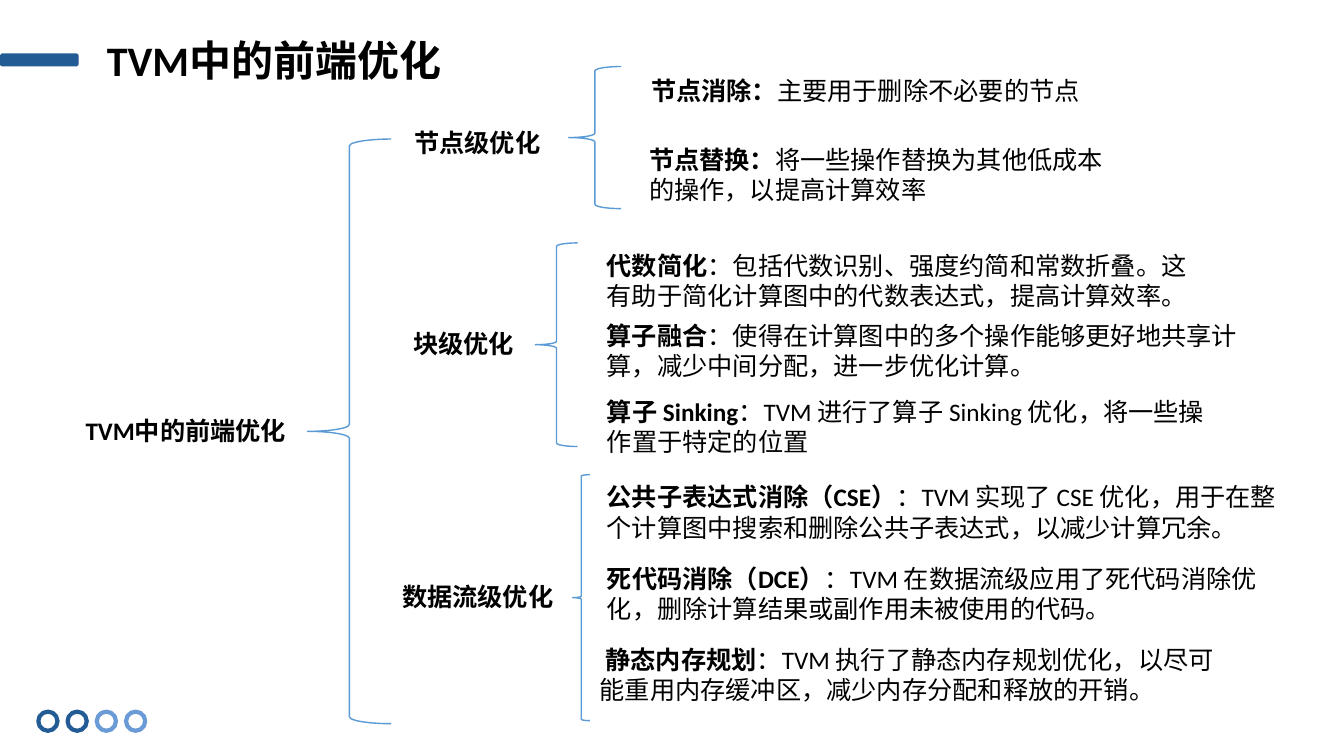
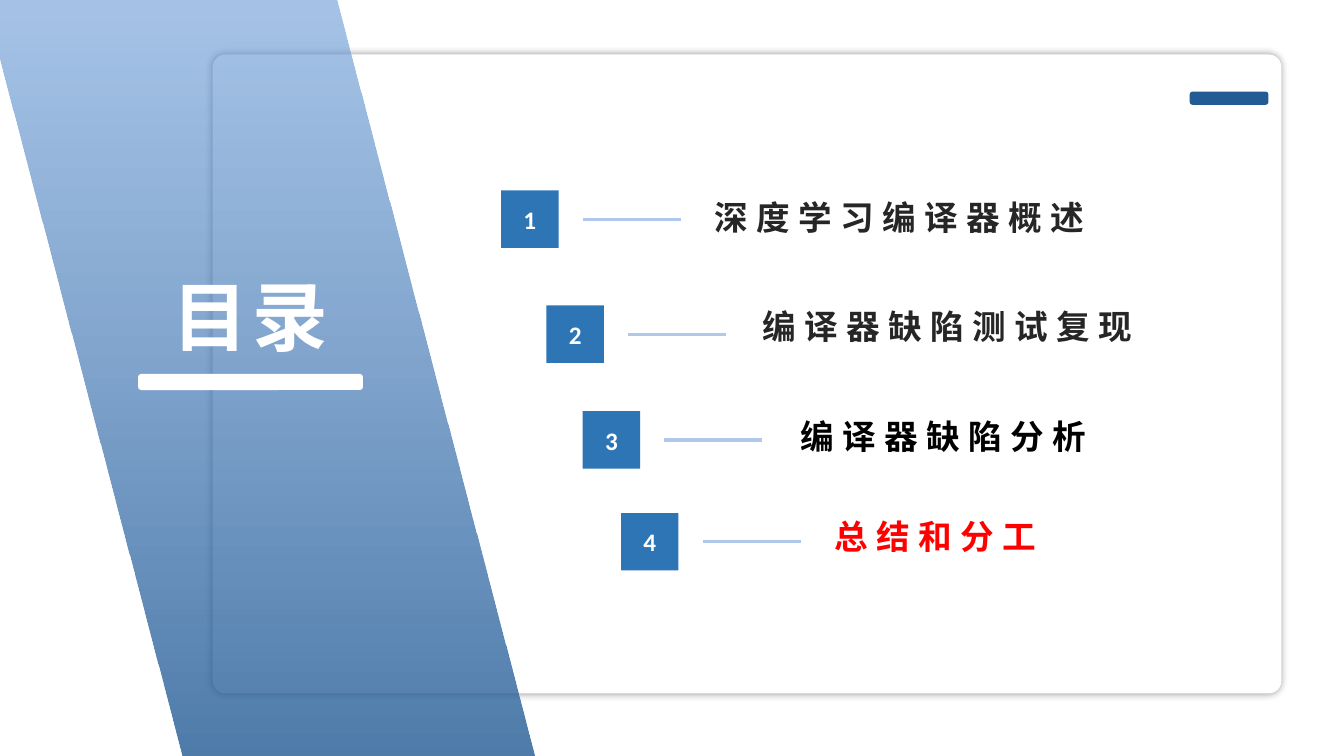
"""Build a two-slide deck: a tree of front-end optimisations and an agenda."""
from dataclasses import dataclass

from lxml import etree
from pptx import Presentation
from pptx.dml.color import RGBColor
from pptx.enum.lang import MSO_LANGUAGE_ID
from pptx.enum.shapes import MSO_CONNECTOR, MSO_SHAPE
from pptx.enum.text import MSO_ANCHOR, MSO_AUTO_SIZE, PP_ALIGN
from pptx.oxml.ns import qn
from pptx.util import Inches, Pt

CHINESE = MSO_LANGUAGE_ID.SIMPLIFIED_CHINESE
STRAIGHT = MSO_CONNECTOR.STRAIGHT
RECTANGLE = MSO_SHAPE.RECTANGLE
ROUNDED = MSO_SHAPE.ROUNDED_RECTANGLE
OVAL = MSO_SHAPE.OVAL
BRACE = MSO_SHAPE.LEFT_BRACE
PARALLELOGRAM = MSO_SHAPE.PARALLELOGRAM
TOP, MIDDLE = MSO_ANCHOR.TOP, MSO_ANCHOR.MIDDLE
LEFT, CENTER = PP_ALIGN.LEFT, PP_ALIGN.CENTER
FIXED = MSO_AUTO_SIZE.NONE
TITLE_ONLY = 5


@dataclass(frozen=True)
class Theme:
    font: str = "Calibri"
    navy: str = "235B95"
    sky: str = "6A9BD7"
    pale: str = "B0C8EA"
    brace: str = "5B9BD5"
    square: str = "2E75B6"
    black: str = "000000"
    dark: str = "262626"
    red: str = "FF0000"
    white: str = "FFFFFF"
    body: int = 18
    agenda: int = 24
    title: int = 30
    cover: int = 54
    bar_width: float = 0.78
    bar_height: float = 0.13
    bar_round: float = 0.2


theme = Theme()


def add_block(page, preset, place, fill=None, line=None, weight=1, adjust=None):
    block = page.shapes.add_shape(preset, *map(Inches, place))
    block.shadow.inherit = False
    if fill:
        block.fill.solid()
        block.fill.fore_color.rgb = RGBColor.from_string(fill)
    else:
        block.fill.background()
    if line:
        block.line.color.rgb = RGBColor.from_string(line)
        block.line.width = Pt(weight)
    else:
        block.line.fill.background()
    if adjust is not None:
        block.adjustments[0] = adjust
    return block


def write(box, parts, size, color, align=LEFT, anchor=TOP, spacing=0):
    frame = box.text_frame
    frame.word_wrap = True
    frame.auto_size = FIXED
    frame.vertical_anchor = anchor
    para = frame.paragraphs[0]
    para.alignment = align
    for index, part in enumerate(parts):
        span = para.add_run()
        span.text = part
        span.font.name = theme.font
        span.font.size = Pt(size)
        span.font.bold = index == 0
        span.font.color.rgb = RGBColor.from_string(color)
        span.font.language_id = CHINESE
        if spacing:
            span.font._element.set("spc", str(spacing * 100))


deck = Presentation()
deck.slide_width = Inches(13.33)
deck.slide_height = Inches(7.5)
tree_page, agenda_page = [
    deck.slides.add_slide(deck.slide_layouts[TITLE_ONLY]) for _ in range(2)
]

for page, left, top in ((tree_page, 0, 0.53), (agenda_page, 11.8, 0.91)):
    if page is agenda_page:
        card = add_block(page, ROUNDED, (2.11, 0.54, 10.6, 6.34), theme.white, adjust=0.02)
    add_block(page, ROUNDED, (left, top, theme.bar_width, theme.bar_height),
              theme.navy, adjust=theme.bar_round)

title_places = (
    (tree_page, "TVM中的前端优化", (0.96, 0.29, 3.6, 0.6), theme.title, theme.black, LEFT, 0),
    (agenda_page, "目录", (1.26, 2.63, 2.45, 0.94), theme.cover, theme.white, CENTER, 3),
)
for page, text, place, size, color, align, spacing in title_places:
    title = page.shapes.title
    title.left, title.top, title.width, title.height = map(Inches, place)
    write(title, [text], size, color, align, spacing=spacing)

for index, color in enumerate((theme.navy, theme.navy, theme.sky, theme.sky)):
    add_block(tree_page, OVAL, (0.38 + 0.29 * index, 7.06, 0.19, 0.19), line=color, weight=3)

braces = (
    (3.05, 1.38, 0.83, 5.8),
    (5.64, 0.66, 0.52, 1.41),
    (5.31, 2.41, 0.42, 2.02),
    (5.68, 4.71, 0.17, 2.44),
)
for place in braces:
    add_block(tree_page, BRACE, place, line=theme.brace)

tree_texts = (
    ((0.75, 4.07, 2.27, 0.4), ["TVM中的前端优化"]),
    ((4.01, 1.21, 1.51, 0.4), ["节点级优化"]),
    ((6.36, 0.7, 5.37, 0.4), ["节点消除：", "主要用于删除不必要的节点"]),
    ((6.34, 1.38, 4.86, 0.71),
     ["节点替换：", "将一些操作替换为其他低成本的操作，以提高计算效率"]),
    ((4, 3.21, 1.24, 0.4), ["块级优化"]),
    ((5.92, 2.43, 6.1, 0.71),
     ["代数简化", "：包括代数识别、强度约简和常数折叠。这有助于简化计算图中的代数表达式，提高计算效率。"]),
    ((5.92, 3.13, 6.46, 0.71),
     ["算子融合", "：使得在计算图中的多个操作能够更好地共享计算，减少中间分配，进一步优化计算。"]),
    ((5.92, 3.88, 6.31, 0.71),
     ["算子 Sinking", "：TVM 进行了算子 Sinking 优化，将一些操作置于特定的位置"]),
    ((3.89, 5.72, 1.83, 0.4), ["数据流级优化"]),
    ((5.92, 4.73, 6.9, 0.71),
     ["公共子表达式消除（CSE）",
      "：TVM 实现了 CSE 优化，用于在整个计算图中搜索和删除公共子表达式，以减少计算冗余。"]),
    ((5.92, 5.54, 6.75, 0.71),
     ["死代码消除（DCE）",
      "：TVM 在数据流级应用了死代码消除优化，删除计算结果或副作用未被使用的代码。"]),
    ((5.85, 6.34, 6.53, 0.71),
     [" 静态内存规划",
      "：TVM 执行了静态内存规划优化，以尽可能重用内存缓冲区，减少内存分配和释放的开销。"]),
)
for place, parts in tree_texts:
    box = tree_page.shapes.add_textbox(*map(Inches, place))
    write(box, parts, theme.body, theme.black)

effects = card._element.spPr.find(qn("a:effectLst"))
shadow = etree.SubElement(effects, qn("a:outerShdw"), blurRad=str(Pt(5)), dist="0", algn="ctr")
shade = etree.SubElement(shadow, qn("a:srgbClr"), val=theme.black)
etree.SubElement(shade, qn("a:alpha"), val="40000")

side = 0.57
agenda_items = (
    ("深度学习编译器概述", 4.97, 1.89, 6.99, 1.9, theme.dark),
    ("编译器缺陷测试复现", 5.42, 3.03, 7.46, 2.99, theme.dark),
    ("编译器缺陷分析", 5.78, 4.08, 7.84, 4.08, theme.black),
    ("总结和分工", 6.16, 5.09, 8.18, 5.07, theme.red),
)
for number, (text, left, top, text_left, text_top, color) in enumerate(agenda_items, 1):
    square = add_block(agenda_page, RECTANGLE, (left, top, side, side), theme.square)
    write(square, [str(number)], theme.body, theme.white, CENTER, MIDDLE)
    middle = Inches(top + side / 2)
    dash = agenda_page.shapes.add_connector(
        STRAIGHT, Inches(left + 0.81), middle, Inches(left + 1.78), middle)
    dash.line.color.rgb = RGBColor.from_string(theme.pale)
    dash.line.width = Pt(2.25)
    etree.SubElement(dash._element.spPr, qn("a:effectLst"))
    box = agenda_page.shapes.add_textbox(*map(Inches, (text_left, text_top, 4.11, side)))
    write(box, [text], theme.agenda, color, spacing=6)

panel = add_block(agenda_page, PARALLELOGRAM, (-0.15, 0, 5.45, 7.5), adjust=0.36)
panel._element.spPr.find(qn("a:xfrm")).set("flipH", "1")
panel.fill.gradient()
panel.fill.gradient_angle = 270
for stop, color in zip(panel.fill.gradient_stops, (theme.sky, theme.navy)):
    stop.color.rgb = RGBColor.from_string(color)
for shade, opacity in zip(panel._element.spPr.iter(qn("a:srgbClr")), (60, 80)):
    etree.SubElement(shade, qn("a:alpha"), val=str(opacity * 1000))

add_block(agenda_page, ROUNDED, (1.37, 3.71, 2.23, 0.16), theme.white, adjust=theme.bar_round)
agenda_page.shapes._spTree.append(agenda_page.shapes.title._element)

deck.save("out.pptx")
